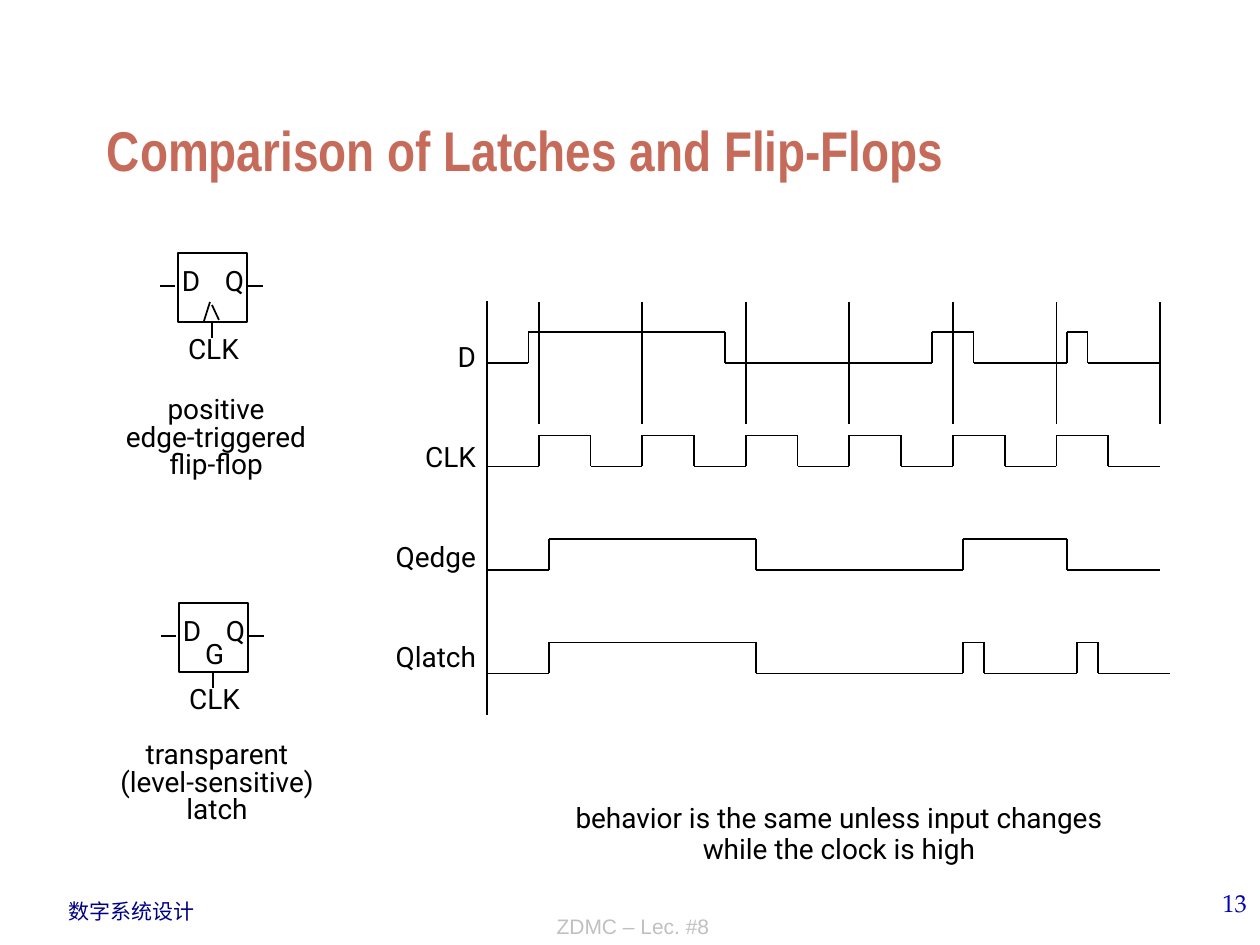
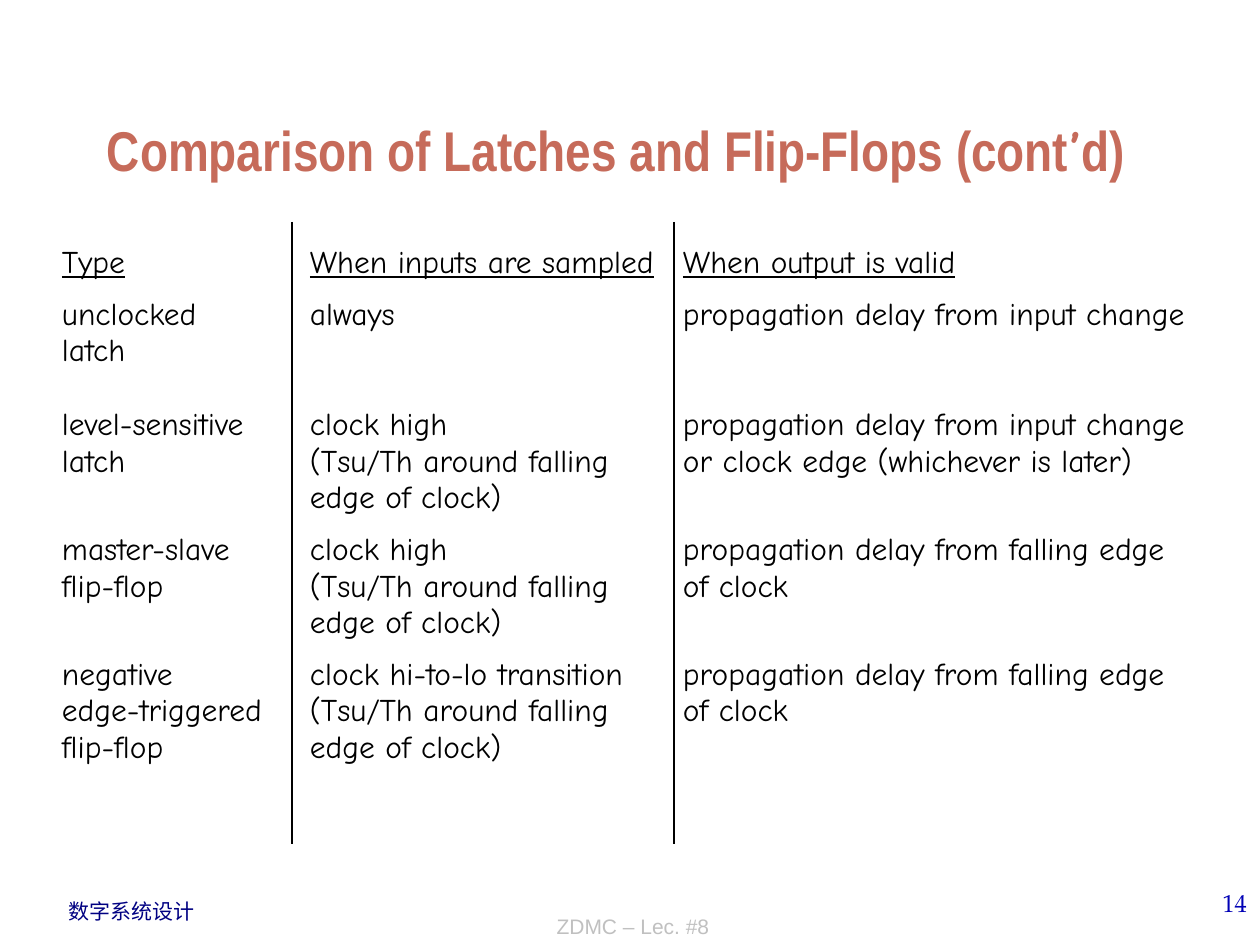
"""Build two slides comparing latches and flip-flops."""
import itertools

import lxml.etree
import pptx
import pptx.dml.color
import pptx.enum.shapes
import pptx.enum.text
import pptx.oxml.ns
import pptx.util

PX = 914400 / 126
COLORS = {
    "ink": "000000",
    "paper": "FFFFFF",
    "title": "C66B5A",
    "course": "000082",
    "number": "0000B6",
    "lecture": "C0C0C0",
}
ALIGN = pptx.enum.text.PP_ALIGN
ANCHOR = pptx.enum.text.MSO_ANCHOR
DIAGRAM = {"font": "Roboto", "size": 16, "wrap": False}
WIDE_INSET = (13, 6)
TITLE = "Comparison of Latches and Flip-Flops"

WAVE_STEPS = 65
WAVES = [
    ("D", [4, 23, 43, 47, 56, 58], WAVE_STEPS),
    ("CLK", range(5, WAVE_STEPS, 5), WAVE_STEPS),
    ("Qedge", [6, 26, 46, 56], WAVE_STEPS),
    ("Qlatch", [6, 26, 46, 48, 57, 59], WAVE_STEPS + 1),
]
UNDERLINE = {"underline": True}
TIMING_ROWS = [
    [("Type", UNDERLINE), ("\t", {}), ("When inputs are sampled", UNDERLINE),
     ("\t", {}), ("When output is valid", UNDERLINE)],
    "unclocked\talways\tpropagation delay from input change\nlatch",
    "level-sensitive\tclock high\tpropagation delay from input change\n"
    "latch\t(Tsu/Th around falling\tor clock edge (whichever is later)\n"
    "\tedge of clock)",
    "master-slave\tclock high\tpropagation delay from falling edge\n"
    "flip-flop\t(Tsu/Th around falling\tof clock\n"
    "\tedge of clock)",
    "negative\tclock hi-to-lo transition\tpropagation delay from falling edge\n"
    "edge-triggered\t(Tsu/Th around falling\tof clock\n"
    "flip-flop\tedge of clock)",
]


def emu(*lengths):
    """Turn px lengths into EMU."""
    return [round(length * PX) for length in lengths]


def rgb(name):
    """Look up a named colour."""
    return pptx.dml.color.RGBColor.from_string(COLORS[name])


def add_tabs(paragraph, stops):
    """Give a paragraph left tab stops at px positions."""
    tag = pptx.oxml.ns.qn
    tab_list = lxml.etree.SubElement(paragraph._p.get_or_add_pPr(), tag("a:tabLst"))
    for stop in emu(*stops):
        lxml.etree.SubElement(tab_list, tag("a:tab"), pos=str(stop), algn="l")


def add_text(slide, box, paragraphs, *, font, size, color="ink", bold=False,
             align=ALIGN.LEFT, anchor=ANCHOR.TOP, inset=(3, 4), wrap=True,
             line=None, spaces=(), tabs=()):
    """Add a text box whose paragraphs are strings or lists of (text, font changes)."""
    frame = slide.shapes.add_textbox(*emu(*box)).text_frame
    frame.word_wrap = wrap
    frame.vertical_anchor = anchor
    frame.margin_left, frame.margin_top = emu(*inset)
    frame.margin_right, frame.margin_bottom = emu(*inset)
    for index, (content, space) in enumerate(
            itertools.zip_longest(paragraphs, spaces, fillvalue=0)):
        paragraph = frame.add_paragraph() if index else frame.paragraphs[0]
        if tabs:
            add_tabs(paragraph, tabs)
        paragraph.alignment = align
        if line:
            paragraph.line_spacing = pptx.util.Pt(line)
        if space:
            paragraph.space_before = pptx.util.Pt(space)
        pieces = [(content, {})] if isinstance(content, str) else content
        for text, changes in pieces:
            for row, part in enumerate(text.split("\n")):
                if row:
                    paragraph.add_line_break()
                run = paragraph.add_run()
                run.text = part
                run.font.name = font
                run.font.size = pptx.util.Pt(size)
                run.font.bold = bold
                run.font.color.rgb = rgb(color)
                for name, value in changes.items():
                    setattr(run.font, name, value)


def add_line(slide, start, end):
    """Draw a thin black line between two px points."""
    connector = slide.shapes.add_connector(
        pptx.enum.shapes.MSO_CONNECTOR.STRAIGHT, *emu(*start, *end))
    connector.line.color.rgb = rgb("ink")
    connector.line.width = pptx.util.Pt(1)
    lxml.etree.SubElement(
        connector._element.spPr, pptx.oxml.ns.qn("a:effectLst"))


def add_frame(presentation, number, title):
    """Add a blank slide with the shared title and footers."""
    slide = presentation.slides.add_slide(presentation.slide_layouts[6])
    add_text(slide, (56, 893, 176, 38), ["数字系统设计"], font="Arial", size=12,
             color="course", inset=WIDE_INSET)
    add_text(slide, (998, 882, 262, 63), [str(number)], font="TeX Gyre Pagella",
             size=14, color="number", align=ALIGN.RIGHT, inset=WIDE_INSET)
    add_text(slide, (326, 881, 614, 64), ["ZDMC – Lec. #8"], font="Arial", size=12,
             color="lecture", align=ALIGN.CENTER, anchor=ANCHOR.BOTTOM,
             inset=WIDE_INSET)
    add_text(slide, (94, 32, 1071, 157), [title], font="Arial Narrow", size=32,
             color="title", bold=True, anchor=ANCHOR.BOTTOM, inset=WIDE_INSET)
    return slide


def add_symbol(slide, box, caption, caption_top, gate=None):
    """Draw a storage element with its pins, caption and clock mark or gate letter."""
    left, top, width, height = box
    body = slide.shapes.add_shape(
        pptx.enum.shapes.MSO_SHAPE.RECTANGLE, *emu(*box))
    body.shadow.inherit = False
    body.fill.solid()
    body.fill.fore_color.rgb = rgb("paper")
    body.line.color.rgb = rgb("ink")
    body.line.width = pptx.util.Pt(1)

    strokes = [
        (-18, 33, -3, 33),
        (width + 1, 33, width + 16, 33),
        (34, height + 1, 34, height + 16),
    ]
    labels = [
        ((-3, 16, 76, 42), "D\tQ", 13.8),
        ((-18, 84, 107, 45), "CLK", 13.8),
        ((-78, caption_top, 232, 103), caption, 15.7),
    ]
    if gate:
        labels.append(((1, 39, 69, 42), gate, 13.8))
    else:
        strokes += [(26, 68, 32, 49), (34, 52, 41, 67)]
    for x1, y1, x2, y2 in strokes:
        add_line(slide, (left + x1, top + y1), (left + x2, top + y2))
    for (x, y, label_width, label_height), text, line in labels:
        add_text(slide, (left + x, top + y, label_width, label_height), [text],
                 align=ALIGN.CENTER, line=line, tabs=(43,), **DIAGRAM)


def add_waveforms(slide, box):
    """Draw the timing diagram, its clock-edge guides and its signal names."""
    left, top, width, height = box
    rise, pitch = 31, height / 4

    def step_x(step):
        """Place a time step across the box."""
        return left + step * width / WAVE_STEPS

    add_line(slide, (left, top + height), (left, top))
    for step in range(5, WAVE_STEPS + 1, 10):
        add_line(slide, (step_x(step), top + 123), (step_x(step), top + 1))
    add_text(slide, (left - 133, top + 18, 125, 368), [name for name, _, _ in WAVES],
             align=ALIGN.RIGHT, line=28.6, spaces=[0, 28.6, 28.6, 28.6], **DIAGRAM)

    for index, (_, edges, last) in enumerate(WAVES):
        low = top + 62 + index * pitch
        points, level = [(left, low)], low
        for edge in edges:
            points.append((step_x(edge), level))
            level = low - rise if level == low else low
            points.append((step_x(edge), level))
        points.append((step_x(last), level))
        for start, end in itertools.pairwise(points):
            add_line(slide, start, end)


def add_timing_columns(slide, box):
    """Set the timing comparison in three tabbed columns with two dividers."""
    left, top, width, height = box
    add_text(slide, box, TIMING_ROWS, font="Comic Neue", size=18, wrap=False,
             line=20.8, spaces=[0, 8.9, 21.7, 8.9, 8.9], tabs=(248, 621))
    for divider in (left + 233, left + 615):
        add_line(slide, (divider, top - 17), (divider, top + height))


def main():
    """Build and save both slides."""
    presentation = pptx.Presentation()
    presentation.slide_width, presentation.slide_height = emu(1260, 945)

    slide = add_frame(presentation, 13, TITLE)
    add_symbol(slide, (178, 253, 69, 69), "positive\nedge-triggered\nflip-flop", 141)
    add_symbol(slide, (179, 603, 69, 69), "transparent\n(level-sensitive)\nlatch",
               136, gate="G")
    add_waveforms(slide, (487, 301, 673, 414))
    add_text(slide, (486, 799, 706, 79),
             ["behavior is the same unless input changes", "while the clock is high"],
             align=ALIGN.CENTER, line=17.7, **DIAGRAM)

    slide = add_frame(presentation, 14, [
        (TITLE + " (cont", {}), ("’", {"name": "Comic Neue"}), ("d)", {})])
    add_timing_columns(slide, (59, 239, 1154, 605))
    presentation.save("out.pptx")


if __name__ == "__main__":
    main()
